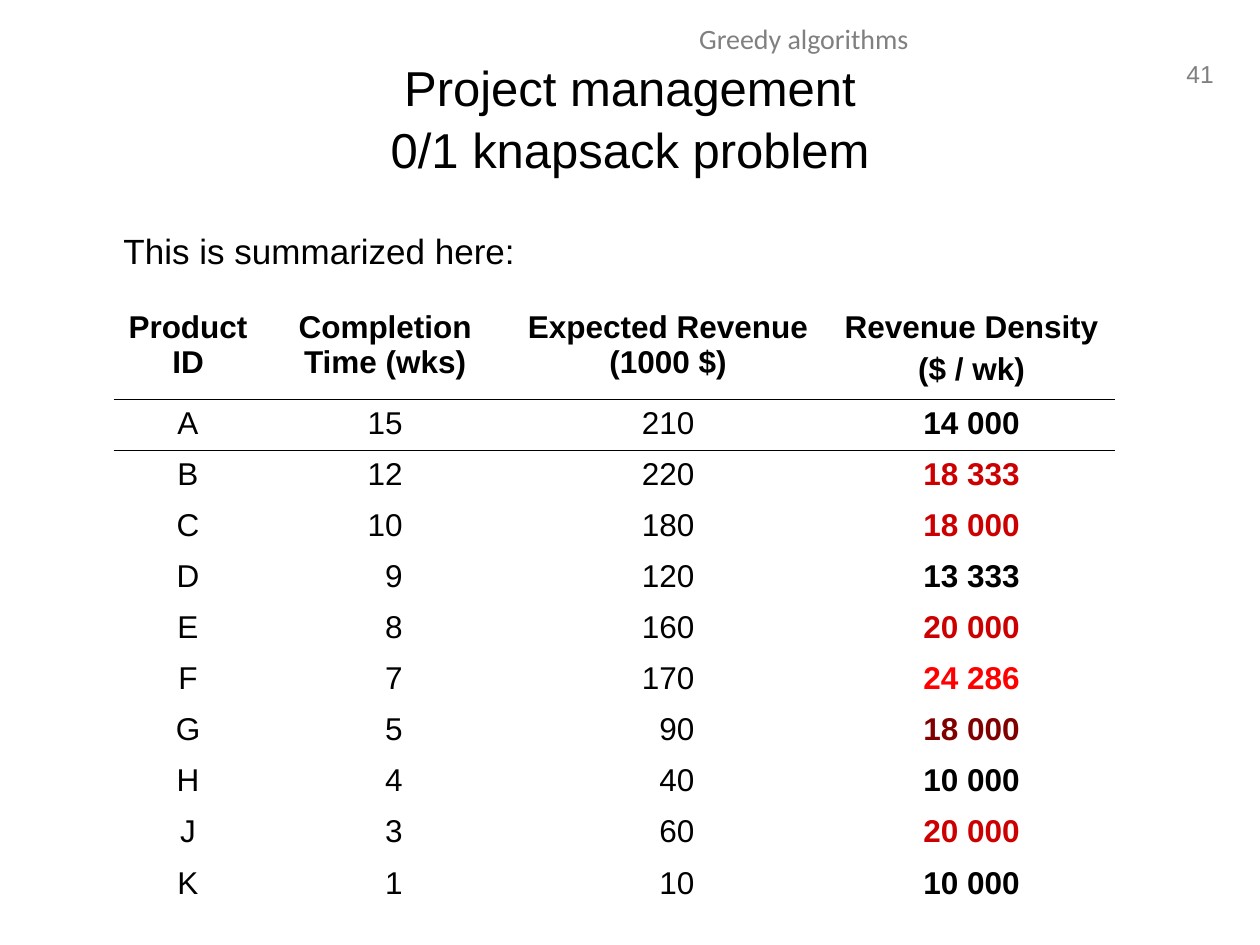
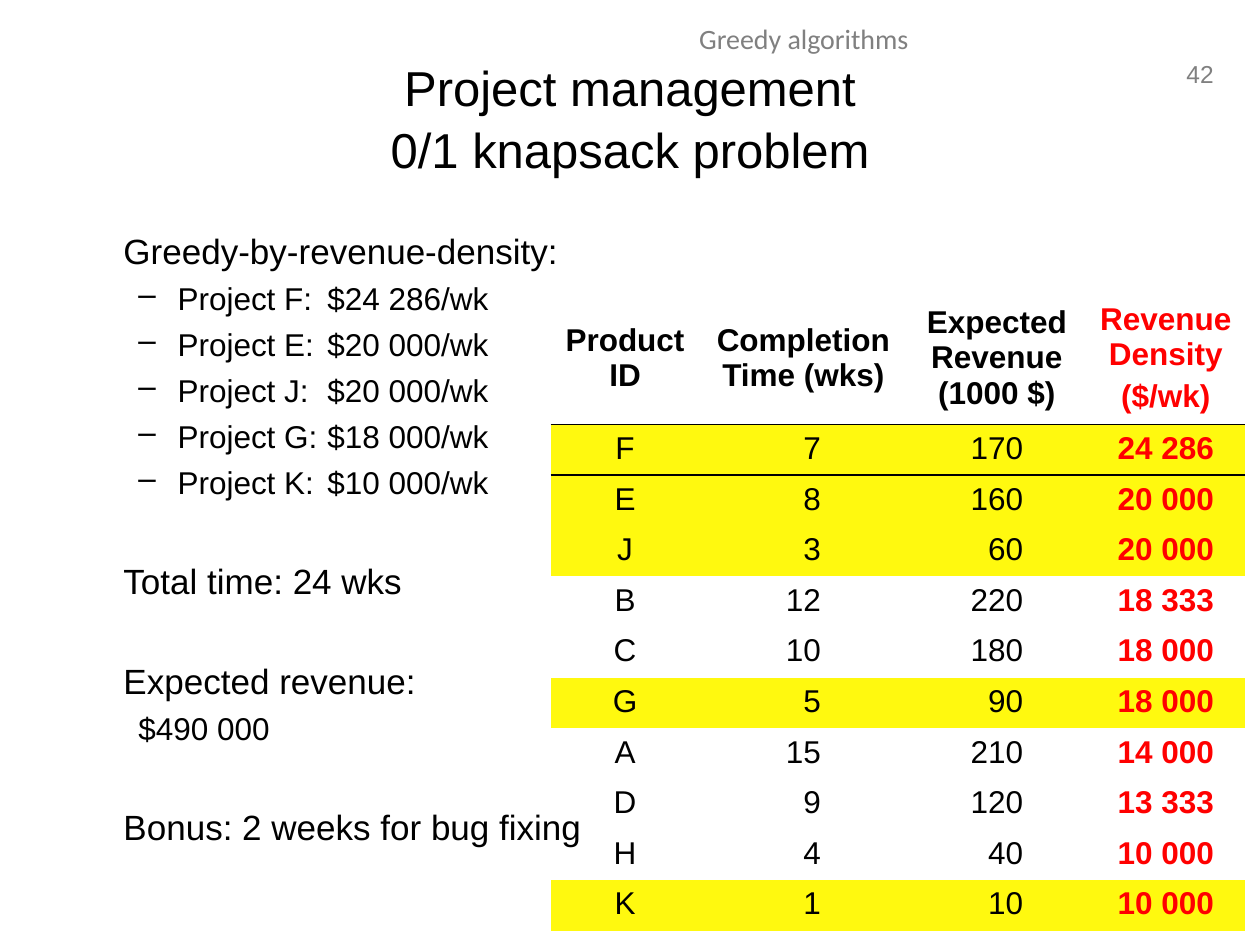
"""Build two slides on greedy project selection by revenue density."""
from lxml.etree import SubElement
from pptx import Presentation
from pptx.dml.color import RGBColor
from pptx.enum.text import MSO_ANCHOR as Anchor, MSO_AUTO_SIZE as AutoSize, PP_ALIGN as Align
from pptx.oxml import parse_xml
from pptx.oxml.ns import nsdecls, qn
from pptx.util import Cm, Pt

BLACK, GREY, WHITE, YELLOW = "000000", "808080", "FFFFFF", "FFF90F"
RED, CRIMSON, MAROON = "FF0000", "CC0000", "800000"
PLAIN_TABLE = "{2D5ABB26-0587-4C30-8999-92F81FD0307C}"
DIGIT_WIDTH = 0.353

PROJECTS = {
    "A": (15, 210), "B": (12, 220), "C": (10, 180), "D": (9, 120), "E": (8, 160),
    "F": (7, 170), "G": (5, 90), "H": (4, 40), "J": (3, 60), "K": (1, 10),
}
HEADINGS = ["Product ID", "Completion Time (wks)", "Expected Revenue (1000 $)"]
RANKING = "FEJBCGADHK"
CHOSEN = "FEJGK"


def rgb(code):
    return RGBColor.from_string(code)


def density(project):
    weeks, revenue = PROJECTS[project]
    return f"{1000 * revenue / weeks:,.0f}".replace(",", " ")


def write(paragraph, text, size=18, color=BLACK, bold=False, font="Arial",
          align=Align.LEFT, before=0, spacing=1.0, left=0, hang=0, bullet=None):
    paragraph.text = text
    paragraph.alignment = align
    paragraph.line_spacing = spacing
    if before:
        paragraph.space_before = Pt(before)
    properties = paragraph._p.get_or_add_pPr()
    properties.set("marL", str(Cm(left)))
    properties.set("indent", str(-Cm(hang)))
    if bullet:
        SubElement(properties, qn("a:buChar")).set("char", bullet)
    for run in paragraph.runs:
        run.font.name = font
        run.font.size = Pt(size)
        run.font.bold = bold
        run.font.color.rgb = rgb(color)


def rule(cell, side):
    line = parse_xml(
        f'<a:{side} {nsdecls("a")} w="{Pt(1)}"><a:solidFill>'
        f'<a:srgbClr val="{BLACK}"/></a:solidFill></a:{side}>')
    cell._tc.get_or_add_tcPr().insert(0, line)


class Deck:
    def __init__(self):
        self.presentation = Presentation()
        self.presentation.slide_width = Cm(25.4)
        self.presentation.slide_height = Cm(19.05)
        self.slide = None

    def start(self, title, number):
        self.slide = self.presentation.slides.add_slide(self.presentation.slide_layouts[5])
        self.text(23.6, 1.07, 1.12, 0.84, [(str(number), dict(
            size=14, color=GREY, align=Align.RIGHT))], wrap=False)
        self.text(8.1, 0.3, 16.21, 1.02, [("Greedy algorithms", dict(
            size=16, color=GREY, font="Calibri", align=Align.CENTER))])
        heading = self.slide.shapes.title
        heading.left, heading.top = Cm(1.27), Cm(0.76)
        heading.width, heading.height = Cm(22.86), Cm(3.18)
        frame = heading.text_frame
        frame.auto_size = AutoSize.NONE
        frame.vertical_anchor = Anchor.MIDDLE
        write(frame.paragraphs[0], title, size=28, align=Align.CENTER, spacing=1.05)

    def text(self, left, top, width, height, lines, wrap=True):
        box = self.slide.shapes.add_textbox(Cm(left), Cm(top), Cm(width), Cm(height))
        frame = box.text_frame
        frame.word_wrap = wrap
        for index, (line, style) in enumerate(lines):
            paragraph = frame.add_paragraph() if index else frame.paragraphs[0]
            write(paragraph, line, **style)

    def body(self, lines):
        self.text(1.27, 4.45, 22.86, 12.57,
                  [(line, dict(spacing=1.05, **style)) for line, style in lines])

    def table(self, left, top, widths, header_height, row_height, order, unit,
              heading_color=BLACK, density_colors=None, chosen=None, anchor=Anchor.TOP):
        density_colors = density_colors or {}
        frame = self.slide.shapes.add_table(
            len(order) + 1, len(widths), Cm(left), Cm(top), Cm(sum(widths)),
            Cm(header_height + row_height * len(order)))
        grid = frame.table
        grid.first_row = grid.horz_banding = False
        grid._tbl.tblPr.find(qn("a:tableStyleId")).text = PLAIN_TABLE
        for column, width in zip(grid.columns, widths):
            column.width = Cm(width)
        for index, row in enumerate(grid.rows):
            row.height = Cm(row_height if index else header_height)

        for cell, heading in zip(grid.rows[0].cells, HEADINGS + ["Revenue Density"]):
            last = heading == "Revenue Density"
            style = dict(bold=True, align=Align.CENTER,
                         color=heading_color if last else BLACK)
            cell.vertical_anchor = anchor
            cell.fill.background()
            rule(cell, "lnB")
            write(cell.text_frame.paragraphs[0], heading, **style)
            if last:
                write(cell.text_frame.add_paragraph(), unit, before=3.6, **style)

        for index, project in enumerate(order, 1):
            values = [project, *map(str, PROJECTS[project]), density(project)]
            for column, value in enumerate(values):
                cell = grid.cell(index, column)
                if chosen is None:
                    cell.fill.background()
                else:
                    cell.fill.solid()
                    cell.fill.fore_color.rgb = rgb(YELLOW if project in chosen else WHITE)
                if index == 1:
                    rule(cell, "lnT")
                style = dict(align=Align.CENTER)
                if column in (1, 2):
                    digits = column + 1
                    cell.margin_right = Cm((widths[column] - digits * DIGIT_WIDTH) / 2)
                    style = dict(align=Align.RIGHT)
                elif column == 3:
                    style.update(bold=True, color=density_colors.get(project, BLACK))
                write(cell.text_frame.paragraphs[0], value, **style)


def main():
    deck = Deck()
    title = "Project management\n0/1 knapsack problem"
    point = dict(size=20, left=0.97)
    spaced = dict(point, before=32)

    deck.start(title, 41)
    deck.body([("This is summarized here:", point)])
    deck.table(2.29, 6.12, [3, 4.95, 6.45, 5.79], 1.93, 1.03, "".join(PROJECTS), "($ / wk)",
               density_colors={**dict.fromkeys("BCEJ", CRIMSON), "F": RED, "G": MAROON})

    deck.start(title, 42)
    deck.table(11.1, 5.87, [3, 4.19, 3.61, 3.2], 2.69, 1.02, RANKING, "($/wk)",
               heading_color=RED, density_colors=dict.fromkeys(RANKING, RED),
               chosen=CHOSEN, anchor=Anchor.MIDDLE)
    choice = dict(left=2.06, hang=0.79, before=3.6, bullet="–")
    deck.body([
        ("Greedy-by-revenue-density:", point),
        *((f"Project {project}:\t${density(project)}/wk", choice) for project in CHOSEN),
        ("Total time: 24 wks", spaced),
        ("Expected revenue:", spaced),
        ("$490 000", dict(left=1.27, before=3.6)),
        ("Bonus: 2 weeks for bug fixing", spaced),
    ])
    deck.presentation.save("out.pptx")


if __name__ == "__main__":
    main()
